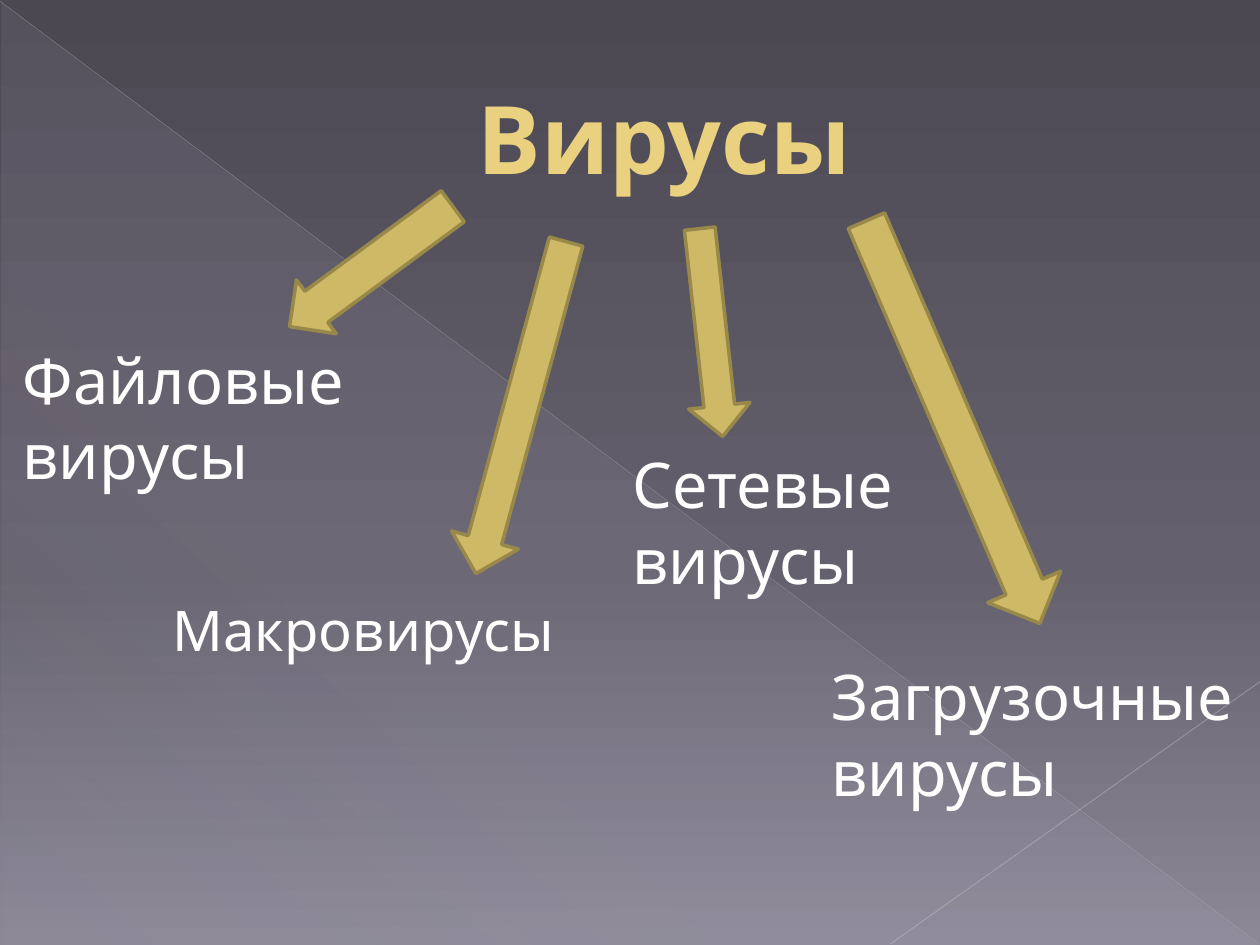
"""Build a slide that sorts computer viruses into four kinds."""
import lxml.etree
import pptx
import pptx.dml.color
import pptx.enum.shapes
import pptx.enum.text
import pptx.oxml.ns
import pptx.util

Inches = pptx.util.Inches
Pt = pptx.util.Pt
RGB = pptx.dml.color.RGBColor.from_string
qn = pptx.oxml.ns.qn
add = lxml.etree.SubElement
FORMS = pptx.enum.shapes.MSO_SHAPE
ALIGN = pptx.enum.text.PP_ALIGN
ANCHOR = pptx.enum.text.MSO_ANCHOR
FIT = pptx.enum.text.MSO_AUTO_SIZE
DEGREE = 60000
PERCENT = 1000
WIDTH, HEIGHT = 10, 7.5
COLORS = {
    "top": "4B4852", "mid": "64606D", "low": "8C8896",
    "veil": "C9C2D1", "long": "C0BFC2", "short": "C7C6C8",
    "title": "E9D17F", "edge": "8F8047", "text": "FFFFFF",
    "gold": "CEB966", "rim": "98894B",
}


def blend(root, angle, stops):
    grad = root.find(".//" + qn("a:gradFill"))
    grad.find(qn("a:lin")).set("ang", str(angle * DEGREE))
    items = grad.find(qn("a:gsLst"))
    for old in list(items):
        items.remove(old)
    for place, name, alpha in stops:
        stop = add(items, qn("a:gs"), pos=str(place * PERCENT))
        color = add(stop, qn("a:srgbClr"), val=COLORS[name])
        add(color, qn("a:alpha"), val=str(alpha * PERCENT))


def write(text, box, size=36, color="text", bold=False, align=ALIGN.LEFT,
          anchor=ANCHOR.TOP, fit=FIT.SHAPE_TO_FIT_TEXT, inset=0.1):
    label = shapes.add_textbox(*map(Inches, box))
    frame = label.text_frame
    frame.word_wrap = True
    frame.auto_size = fit
    frame.vertical_anchor = anchor
    frame.margin_left = Inches(inset)
    para = frame.paragraphs[0]
    para.alignment = align
    run = para.add_run()
    run.text = text
    run.font.name = "Quicksand"
    run.font.size = Pt(size)
    run.font.bold = bold
    run.font.color.rgb = RGB(COLORS[color])
    return label


deck = pptx.Presentation()
deck.slide_width = Inches(WIDTH)
deck.slide_height = Inches(HEIGHT)
slide = deck.slides.add_slide(deck.slide_layouts[6])
shapes = slide.shapes

slide.background.fill.gradient()
blend(slide.element, 90, [(0, "top", 100), (60, "mid", 100), (100, "low", 100)])

veil = shapes.add_shape(FORMS.RIGHT_TRIANGLE,
                        *map(Inches, (0.01, 0.02, 9.98, 7.48)))
veil.shadow.inherit = False
veil.line.fill.background()
veil.fill.gradient()
blend(veil.element, 133, [(0, "veil", 10), (70, "veil", 8), (100, "veil", 1)])

rays = [
    ("long", (0, 0.01, 9.99, 7.49), 0.39, 35),
    ("short", (WIDTH, 5.41, 7.07, 7.49), 0.47, 45),
]
for name, ends, weight, alpha in rays:
    ray = shapes.add_connector(pptx.enum.shapes.MSO_CONNECTOR.STRAIGHT,
                               *map(Inches, ends))
    ray.line.width = Pt(weight)
    ray.line.color.rgb = RGB(COLORS[name])
    props = ray.element.spPr
    color = props.find(".//" + qn("a:srgbClr"))
    add(color, qn("a:alpha"), val=str(alpha * PERCENT))
    add(props, qn("a:effectLst"))

title = write("Вирусы", (0.59, 0.32, 8.83, 1.53), size=54, color="title",
              bold=True, align=ALIGN.CENTER, anchor=ANCHOR.MIDDLE,
              fit=FIT.NONE, inset=0.63)
edge = lxml.etree.Element(qn("a:ln"), w=str(Pt(0.5)))
paint = add(edge, qn("a:solidFill"))
add(paint, qn("a:srgbClr"), val=COLORS["edge"])
title.element.find(".//" + qn("a:rPr")).insert(0, edge)

kinds = [
    ("Файловые вирусы", (0.08, 2.66, 3.06, 1.31), 36,
     (2.68, 1.31, 0.53, 1.61), 53.6, 0.58),
    ("Макровирусы", (1.27, 4.68, 3.94, 0.64), 32,
     (3.86, 1.87, 0.55, 2.73), 15.2, 0.5),
    ("Сетевые вирусы", (4.92, 3.49, 2.44, 1.31), 36,
     (5.4, 1.81, 0.49, 1.66), -6.3, 0.5),
    ("Загрузочные вирусы", (6.5, 5.17, 3.53, 1.31), 36,
     (7.25, 1.61, 0.63, 3.48), -23.3, 0.5),
]
for text, box, size, place, turn, shaft in kinds:
    arrow = shapes.add_shape(FORMS.DOWN_ARROW, *map(Inches, place))
    arrow.shadow.inherit = False
    arrow.rotation = turn
    arrow.adjustments[0] = shaft
    arrow.fill.solid()
    arrow.fill.fore_color.rgb = RGB(COLORS["gold"])
    arrow.line.color.rgb = RGB(COLORS["rim"])
    arrow.line.width = Pt(2)
    write(text, box, size=size)

deck.save("out.pptx")
